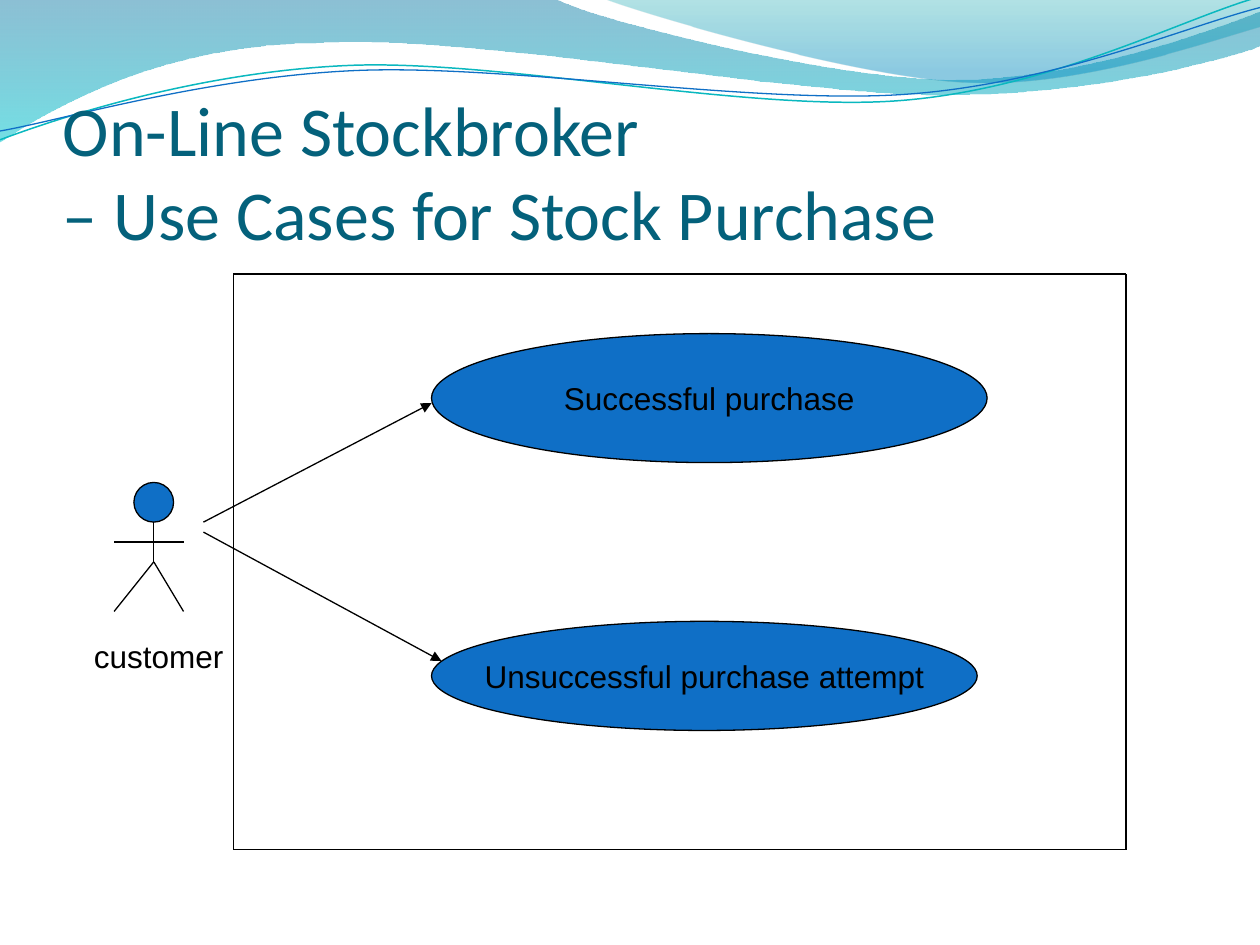
from collections import namedtuple
from pptx import Presentation
from pptx.dml.color import RGBColor as RGB
from pptx.enum.shapes import MSO_CONNECTOR as CONN, MSO_SHAPE as SHAPE
from pptx.enum.text import MSO_ANCHOR as ANCHOR, PP_ALIGN as ALIGN
from pptx.oxml.ns import qn
from pptx.util import Inches, Pt
from lxml.etree import SubElement

WIDTH, HEIGHT = Inches(10), Inches(7.5)
PERCENT = WIDTH / 100
CELL = WIDTH / 127
COLORS = {
    "black": "000000", "blue": "0F6FC6", "teal": "0AB8BF", "title": "04617B",
    "wave_top": "0074A1", "wave_bottom": "00C6CF",
    "crest_top": "00A1A9", "crest_bottom": "008BBF",
}
Box = namedtuple("Box", "left top width height")

WAVE = [(0, -.1), (44, -.1), (47.6, 1.7, 66.4, 6.3, 75.8, 6.3),
        (85.3, 6.3, 95.8, 2.6, 100, .9), (100.1, 3.6),
        (98.3, 4.4, 87, 7.6, 74.6, 7.5), (62.2, 7.5, 38.2, 2.8, 25.7, 3.4),
        (12.9, 3.5, 4.6, 8.3, -.1, 11.3), (0, -.1)]
CREST = [(47.9, -.1), (50.9, 1.1, 68.2, 6.2, 76.9, 6.5),
         (85.6, 6.9, 96.1, 3.2, 100, 2.1), (100, 0), (47.9, -.1)]
TEAL_LINE = [(0, 11.1), (4.8, 9.3, 15.8, 5.7, 27.7, 5.2),
             (39.5, 4.7, 59.3, 8.9, 71.3, 8), (83.3, 7.1, 93.8, 1.5, 99.8, -.2)]
BLUE_LINE = [(0, 10.4), (4.7, 9.6, 16.4, 6.1, 28.3, 5.6),
             (40.3, 5.1, 59.7, 8.3, 71.7, 7.5), (83.6, 6.7, 94.1, 2.1, 100, .6)]


def color(name):
    return RGB.from_string(COLORS[name])


def add_curve(slide, box, steps, close):
    points = [(box.left + step[i] * PERCENT, box.top + step[i + 1] * PERCENT)
              for step in steps for i in range(0, len(step), 2)]
    builder = slide.shapes.build_freeform(*points[0])
    builder.add_line_segments(points[1:], close=close)
    sp = builder.convert_to_shape()
    sp.shadow.inherit = False
    segments = iter(list(sp._element.iter(qn("a:lnTo"))))
    for step in steps[1:]:
        segment = next(segments)
        if len(step) == 6:
            segment.tag = qn("a:cubicBezTo")
            for _ in range(2):
                extra = next(segments)
                segment.append(extra[0])
                extra.getparent().remove(extra)
    return sp


def add_waves(slide, box):
    fills = [(WAVE, ("wave_top", 0, 45), ("wave_bottom", 1, 55)),
             (CREST, ("crest_top", 0, 30), ("crest_bottom", .8, 45))]
    for steps, *stops in fills:
        sp = add_curve(slide, box, steps, True)
        sp.line.fill.background()
        sp.fill.gradient()
        sp.fill.gradient_angle = 270
        for stop, (name, position, _) in zip(sp.fill.gradient_stops, stops):
            stop.color.rgb = color(name)
            stop.position = position
        rgbs = sp._element.spPr.iter(qn("a:srgbClr"))
        for rgb, (_, _, opacity) in zip(list(rgbs), stops):
            SubElement(rgb, qn("a:alpha")).set("val", str(opacity * 1000))
    for steps, name, weight in ((TEAL_LINE, "teal", .85), (BLUE_LINE, "blue", .75)):
        sp = add_curve(slide, box, steps, False)
        sp.fill.background()
        sp.line.color.rgb = color(name)
        sp.line.width = Pt(weight)


def add_title(slide, box):
    tf = slide.shapes.add_textbox(*box).text_frame
    tf.word_wrap = True
    tf.vertical_anchor = ANCHOR.BOTTOM
    tf.margin_left = tf.margin_right = tf.margin_bottom = 0
    p = tf.paragraphs[0]
    p.text = "On-Line Stockbroker \v– Use Cases for Stock Purchase"
    p.font.name, p.font.size = "Calibri", Pt(40)
    p.font.color.rgb = color("title")


def cells(box, col, row, cols, rows):
    return Box(round(box.left + col * CELL), round(box.top + row * CELL),
               round(cols * CELL), round(rows * CELL))


def add_line(slide, box, start, end, arrow=False):
    ends = [round(origin + n * CELL) for point in (start, end)
            for origin, n in zip(box[:2], point)]
    line = slide.shapes.add_connector(CONN.STRAIGHT, *ends)
    line.line.color.rgb = color("black")
    line.line.width = Pt(.75)
    if arrow:
        SubElement(line.line._get_or_add_ln(), qn("a:tailEnd")).set("type", "triangle")
    SubElement(line._element.spPr, qn("a:effectLst"))


def add_oval(slide, box):
    sp = slide.shapes.add_shape(SHAPE.OVAL, *box)
    sp.shadow.inherit = False
    sp.fill.solid()
    sp.fill.fore_color.rgb = color("blue")
    sp.line.color.rgb = color("black")
    sp.line.width = Pt(.75)
    return sp


def set_label(sp, text):
    tf = sp.text_frame
    tf.word_wrap = False
    tf.vertical_anchor = ANCHOR.MIDDLE
    tf.margin_left = tf.margin_right = tf.margin_top = tf.margin_bottom = 0
    p = tf.paragraphs[0]
    p.text, p.alignment = text, ALIGN.CENTER
    p.font.name, p.font.size = "Arial", Pt(18)
    p.font.color.rgb = color("black")


def add_actor(slide, box):
    add_oval(slide, cells(box, 5, 0, 4, 4))
    neck, hip = (7, 4), (7, 8)
    for start, end in ((neck, hip), (hip, (3, 13)), (hip, (10, 13)), ((3, 6), (10, 6))):
        add_line(slide, box, start, end)
    set_label(slide.shapes.add_textbox(*cells(box, 0, 16, 15, 3)), "customer")


def add_system(slide, box):
    right, bottom = box.width / CELL, box.height / CELL
    for start, end in (((0, 0), (0, bottom)), ((0, 0), (right, 0)),
                       ((0, bottom), (right, bottom)), ((right, 0), (right, bottom))):
        add_line(slide, box, start, end)
    for text, row, cols, rows in (("Successful purchase", 6, 56, 13),
                                  ("Unsuccessful purchase attempt", 35, 55, 11)):
        set_label(add_oval(slide, cells(box, 20, row, cols, rows)), text)
    add_line(slide, box, (-3, 25), (20, 13), arrow=True)
    add_line(slide, box, (-3, 26), (21, 39), arrow=True)


def main():
    prs = Presentation()
    prs.slide_width, prs.slide_height = WIDTH, HEIGHT
    slide = prs.slides.add_slide(prs.slide_layouts[6])
    page = Box(0, 0, WIDTH, HEIGHT)
    system = cells(page, 23.5, 27.63, 90, 58)
    add_waves(slide, page)
    add_title(slide, cells(page, 6.35, 9.8, 114.3, 15.85))
    add_actor(slide, cells(system, -15, 21, 15, 19))
    add_system(slide, system)
    prs.save("out.pptx")


if __name__ == "__main__":
    main()
